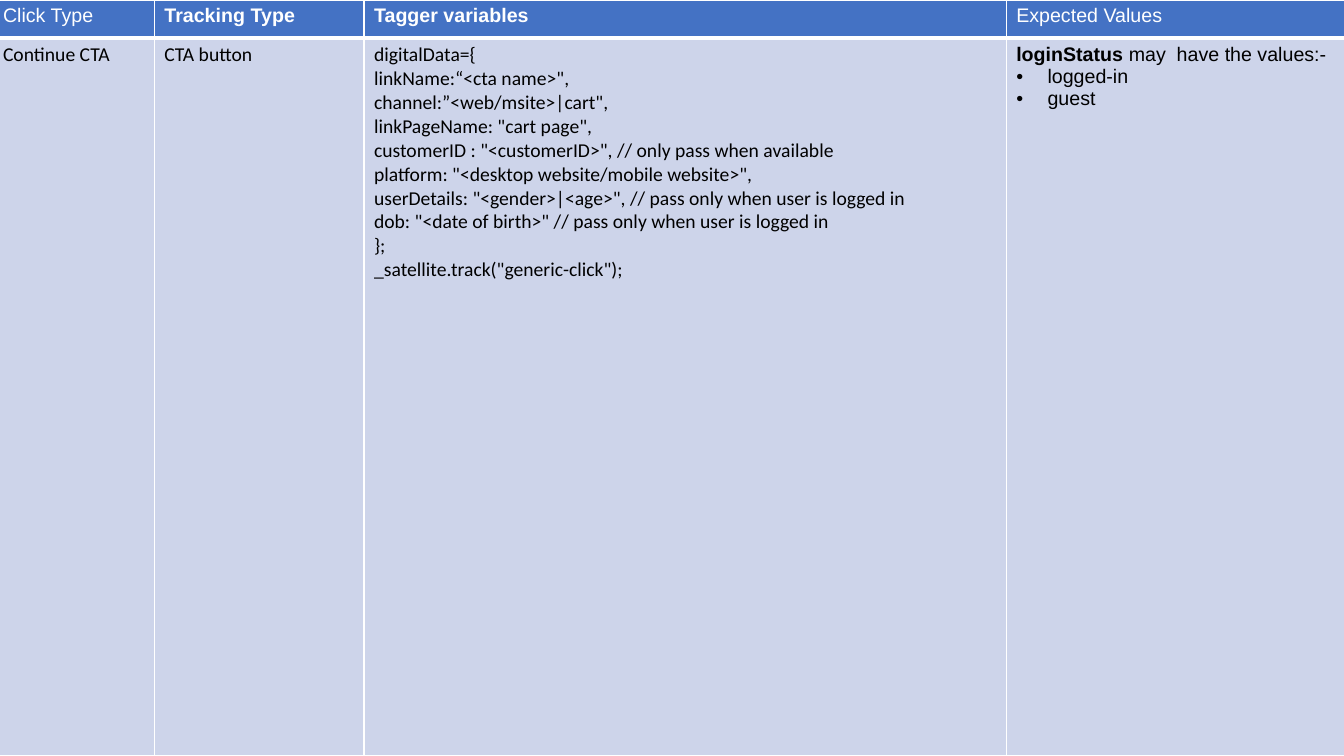
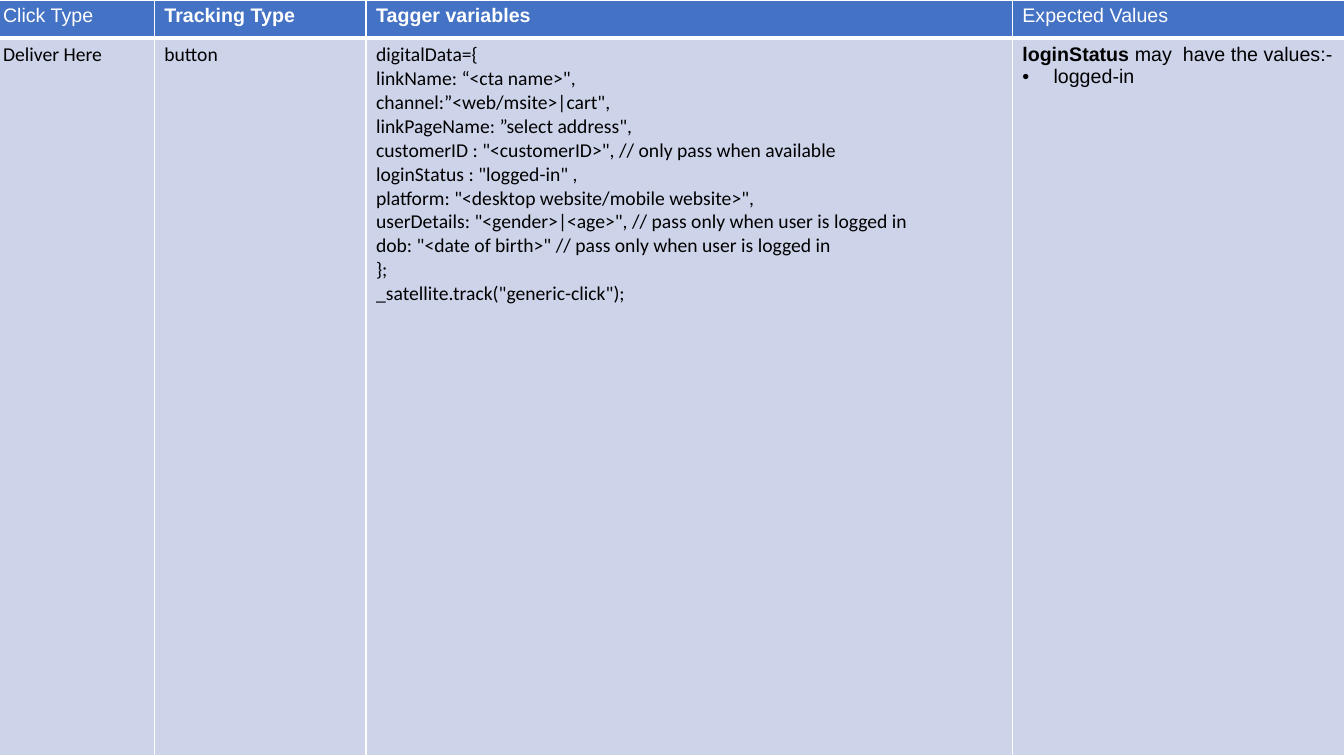
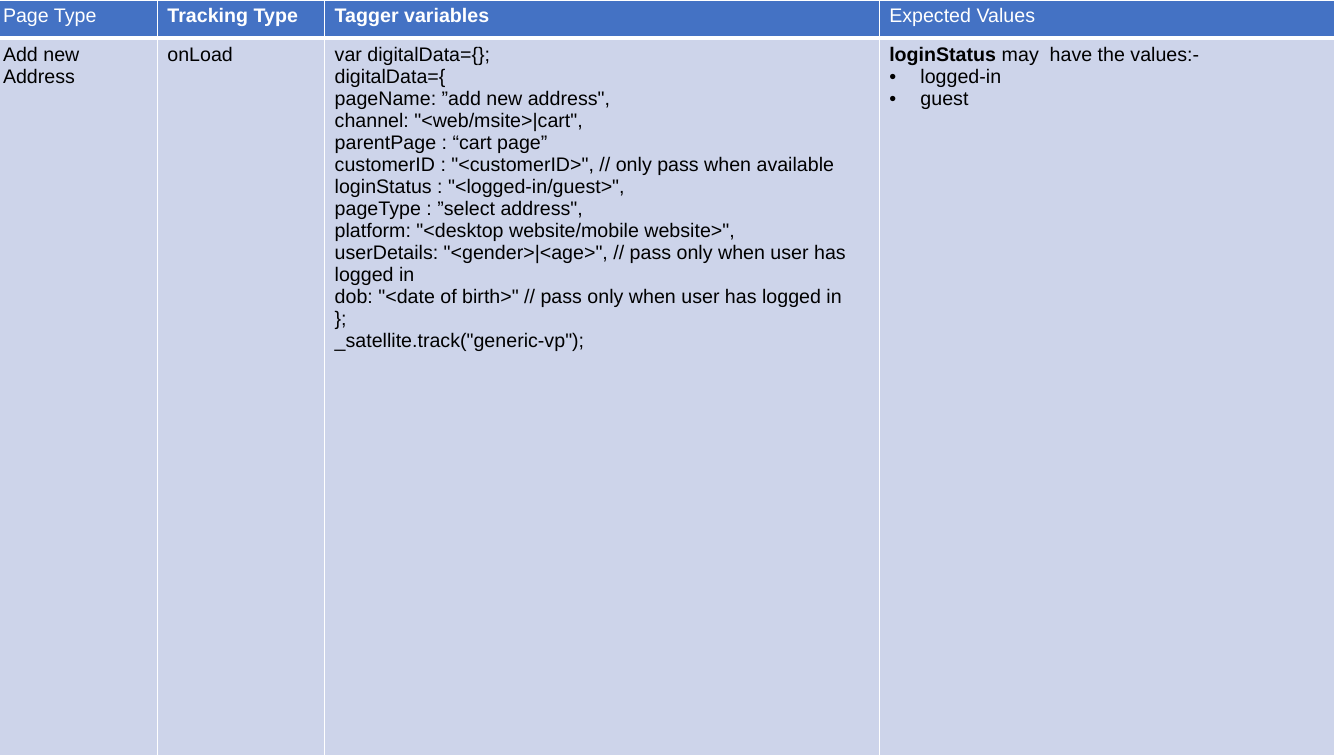
from lxml import etree
from pptx import Presentation
from pptx.dml.color import RGBColor
from pptx.enum.text import MSO_ANCHOR
from pptx.oxml.ns import qn
from pptx.util import Inches, Pt

TOP = MSO_ANCHOR.TOP
COLORS = {"header": "4472C4", "body": "CDD4EA", "white": "FFFFFF", "black": "000000"}
TEXT_SIZE = 14
TABLE_LEFT = -0.07
ROW_HEIGHTS = (0.38, 7.12)
BULLET_INDENT = 0.31
HEADER_BORDERS = {"lnL": 1, "lnR": 1, "lnT": 1, "lnB": 3}
BODY_BORDERS = {"lnL": 1, "lnR": 1, "lnT": 3, "lnB": 1}

CUSTOMER_LINE = 'customerID : "<customerID>", // only pass when available'
PLATFORM_LINE = 'platform: "<desktop website/mobile website>",'


def user_lines(condition):
    return [
        f'userDetails: "<gender>|<age>", // pass only when user {condition}',
        f'dob: "<date of birth>" // pass only when user {condition}',
        "};",
    ]


def click_code(link_line, page_line, *login_lines):
    return [
        "digitalData={",
        link_line,
        'channel:”<web/msite>|cart",',
        page_line,
        CUSTOMER_LINE,
        *login_lines,
        PLATFORM_LINE,
        *user_lines("is logged in"),
        '_satellite.track("generic-click");',
    ]


def address_code():
    return [
        "var digitalData={};",
        "digitalData={",
        'pageName: ”add new address",',
        'channel: "<web/msite>|cart",',
        "parentPage : “cart page”",
        CUSTOMER_LINE,
        'loginStatus : "<logged-in/guest>",',
        'pageType : ”select address",',
        PLATFORM_LINE,
        *user_lines("has logged in"),
        '_satellite.track("generic-vp");',
    ]


def set_font(font, name, color, bold=False):
    font.name = name
    font.size = Pt(TEXT_SIZE)
    font.bold = bold
    font.color.rgb = RGBColor.from_string(COLORS[color])


def style_cell(cell, fill, borders):
    cell.vertical_anchor = TOP
    cell.margin_left = cell.margin_right = Inches(0.1)
    cell.margin_top = cell.margin_bottom = Inches(0.05)
    cell.fill.solid()
    cell.fill.fore_color.rgb = RGBColor.from_string(COLORS[fill])
    properties = cell._tc.get_or_add_tcPr()
    for position, (side, width) in enumerate(borders.items()):
        line = etree.Element(qn(f"a:{side}"), w=str(Pt(width)))
        paint = etree.SubElement(line, qn("a:solidFill"))
        etree.SubElement(paint, qn("a:srgbClr"), val=COLORS["white"])
        properties.insert(position, line)


def add_para(frame, index):
    return frame.add_paragraph() if index else frame.paragraphs[0]


def write_lines(cell, lines, font_name, color, bold=False):
    for index, line in enumerate(lines):
        para = add_para(cell.text_frame, index)
        para.text = line
        set_font(para.font, font_name, color, bold)


def add_bullet(para):
    properties = para._p.get_or_add_pPr()
    properties.set("marL", str(Inches(BULLET_INDENT)))
    properties.set("indent", str(-Inches(BULLET_INDENT)))
    bullet_color = etree.SubElement(properties, qn("a:buClr"))
    etree.SubElement(bullet_color, qn("a:srgbClr"), val=COLORS["black"])
    etree.SubElement(properties, qn("a:buFont"), typeface="Arial")
    etree.SubElement(properties, qn("a:buChar"), char="•")


def write_expected_values(cell, values):
    intro = cell.text_frame.paragraphs[0]
    for text, bold in (("loginStatus ", True), ("may  have the values:-", False)):
        span = intro.add_run()
        span.text = text
        set_font(span.font, "Arial", "black", bold)
    for value in values:
        para = cell.text_frame.add_paragraph()
        add_bullet(para)
        para.text = value
        set_font(para.font, "Arial", "black")


def add_tracking_page(deck, subject, widths, name, tracking, code, values, font_name):
    page = deck.slides.add_slide(deck.slide_layouts[6])
    table = page.shapes.add_table(
        2, 4, Inches(TABLE_LEFT), 0, Inches(sum(widths)), Inches(sum(ROW_HEIGHTS))
    ).table
    table.horz_banding = False
    for column, width in zip(table.columns, widths):
        column.width = Inches(width)
    for row, height in zip(table.rows, ROW_HEIGHTS):
        row.height = Inches(height)

    headings = (
        (f"{subject} Type", False),
        ("Tracking Type", True),
        ("Tagger variables", True),
        ("Expected Values", False),
    )
    for column, (heading, bold) in enumerate(headings):
        style_cell(table.cell(0, column), "header", HEADER_BORDERS)
        style_cell(table.cell(1, column), "body", BODY_BORDERS)
        write_lines(table.cell(0, column), [heading], "Arial", "white", bold)
    for column, lines in enumerate(([name], [tracking], code)):
        write_lines(table.cell(1, column), lines, font_name, "black")
    write_expected_values(table.cell(1, 3), values)


def main():
    deck = Presentation()
    deck.slide_width = Inches(13.33)
    deck.slide_height = Inches(7.5)
    add_tracking_page(
        deck, "Click", (1.6, 2.08, 6.37, 3.36), "Continue CTA", "CTA button",
        click_code('linkName:“<cta name>",', 'linkPageName: "cart page",'),
        ("logged-in", "guest"), "Calibri",
    )
    add_tracking_page(
        deck, "Click", (1.6, 2.1, 6.41, 3.3), "Deliver Here", "button",
        click_code(
            'linkName: “<cta name>",',
            'linkPageName: ”select address",',
            'loginStatus : "logged-in" ,',
        ),
        ("logged-in",), "Calibri",
    )
    add_tracking_page(
        deck, "Page", (1.63, 1.66, 5.5, 4.52), "Add new Address", "onLoad",
        address_code(), ("logged-in", "guest"), "Arial",
    )
    deck.save("out.pptx")


if __name__ == "__main__":
    main()
